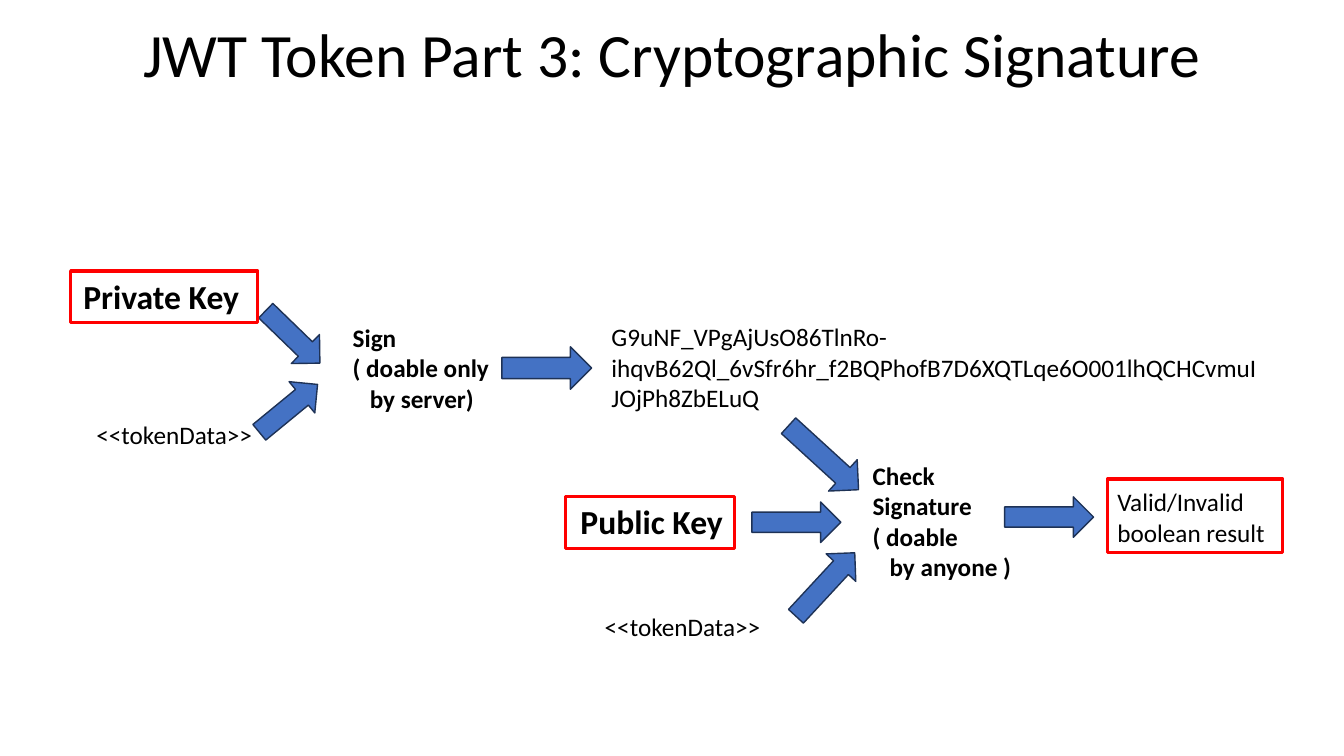
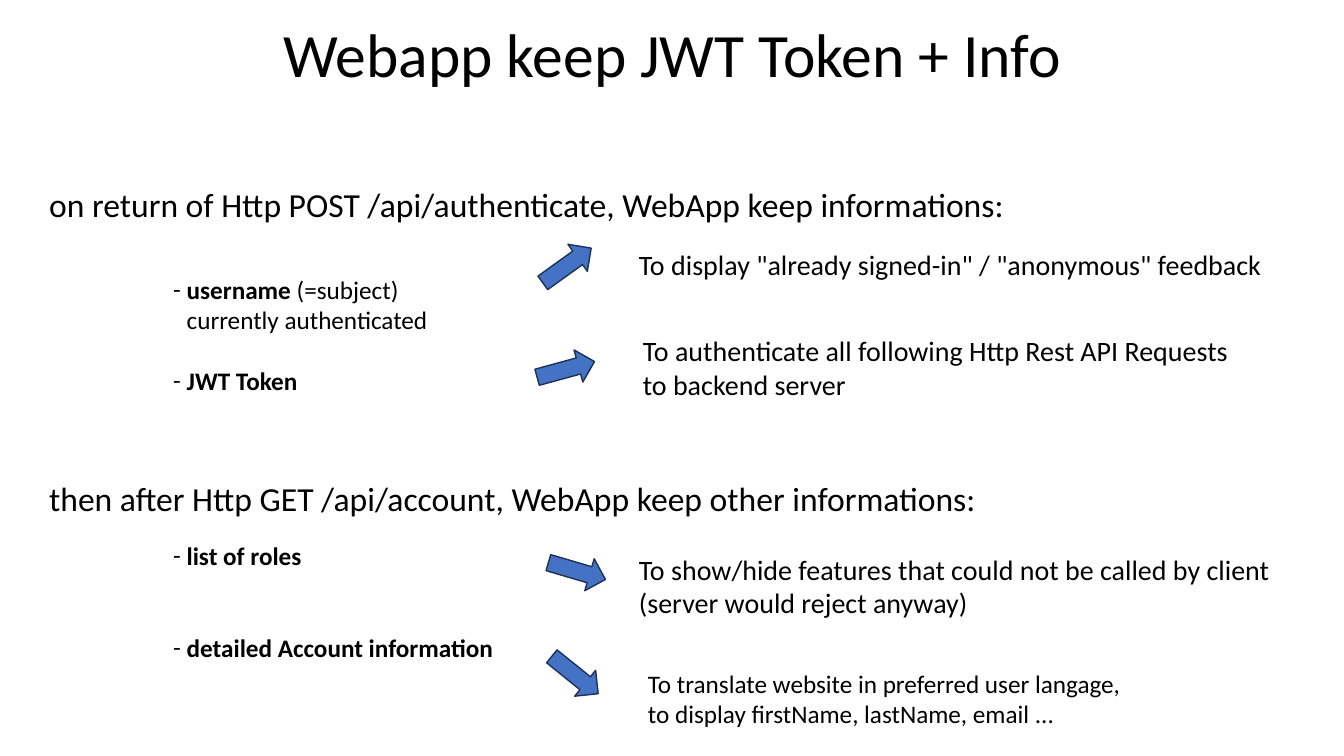
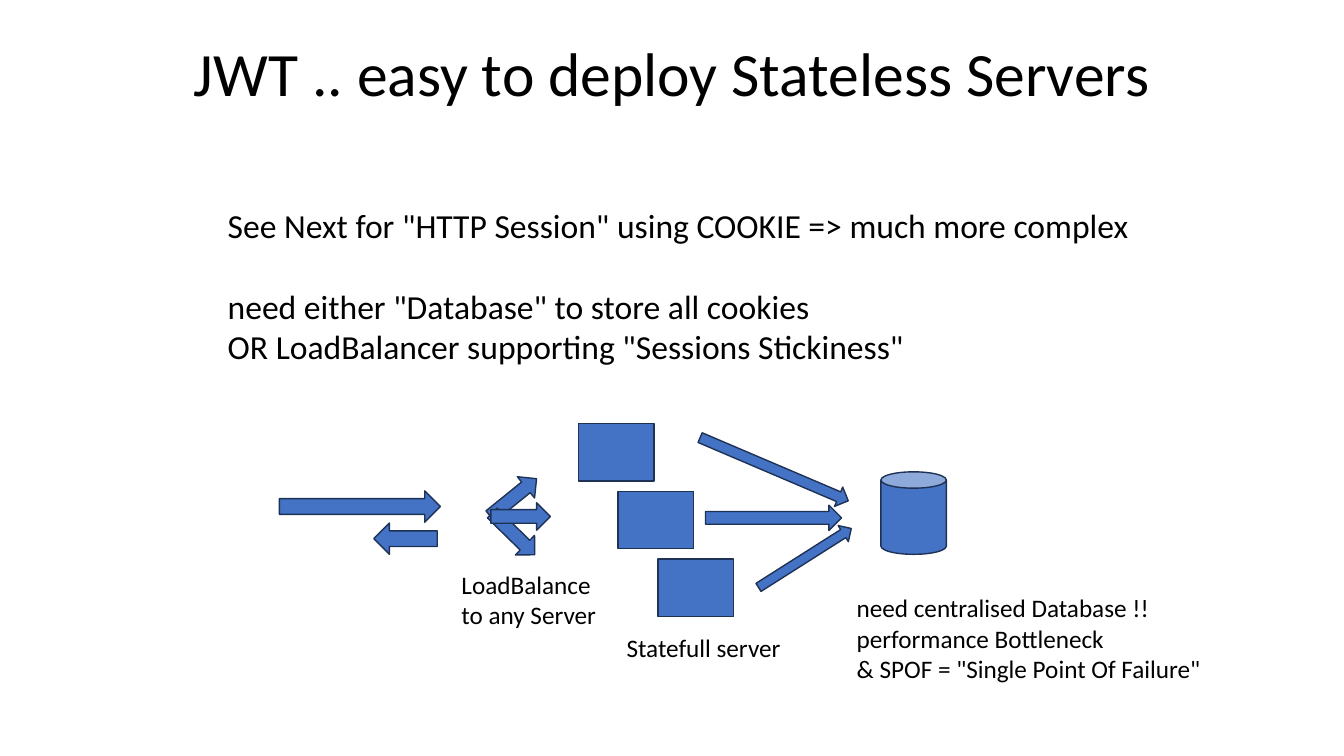
from dataclasses import dataclass

from lxml.etree import SubElement
from pptx import Presentation
from pptx.dml.color import RGBColor
from pptx.enum.shapes import MSO_SHAPE
from pptx.enum.text import MSO_ANCHOR, MSO_AUTO_SIZE, PP_ALIGN
from pptx.oxml.ns import qn
from pptx.util import Cm, Pt


@dataclass(frozen=True)
class Theme:
    font: str = "Calibri"
    ink: RGBColor = RGBColor(0x00, 0x00, 0x00)
    blue: RGBColor = RGBColor(0x44, 0x72, 0xC4)
    navy: RGBColor = RGBColor(0x1E, 0x32, 0x56)
    red: RGBColor = RGBColor(0xFF, 0x00, 0x00)
    title: Pt = Pt(44)
    heading: Pt = Pt(24)
    purpose: Pt = Pt(20)
    body: Pt = Pt(18)
    thin: Pt = Pt(1)
    frame: Pt = Pt(2.25)


theme = Theme()


def add_label(slide, text, box, size=theme.body, bold=False, wrap=False):
    label = slide.shapes.add_textbox(*map(Cm, box))
    label.text_frame.text = text
    label.text_frame.word_wrap = wrap
    label.text_frame.auto_size = MSO_AUTO_SIZE.SHAPE_TO_FIT_TEXT
    for paragraph in label.text_frame.paragraphs:
        for run in paragraph.runs:
            run.font.name = theme.font
            run.font.size = size
            run.font.bold = bold
            run.font.color.rgb = theme.ink
    return label


def add_block(slide, box, kind=MSO_SHAPE.RIGHT_ARROW, rotation=0):
    block = slide.shapes.add_shape(kind, *map(Cm, box))
    block.rotation = rotation
    block.shadow.inherit = False
    block.fill.solid()
    block.fill.fore_color.rgb = theme.blue
    block.line.color.rgb = theme.navy
    block.line.width = theme.thin
    return block


presentation = Presentation()
presentation.slide_width = Cm(33.87)
presentation.slide_height = Cm(19.05)

slides = []
for heading, layout_name, title_box in [
    ("JWT Token Part 3: Cryptographic Signature", "Title Only", (2.34, 0, 29.21, 2.92)),
    ("Webapp keep JWT Token + Info", "Two Content", (2.34, 0, 29.21, 2.92)),
    ("JWT .. easy to deploy Stateless Servers", "Title Only", (2.34, 0.08, 29.21, 3.68)),
]:
    slide = presentation.slides.add_slide(presentation.slide_layouts.get_by_name(layout_name))
    title = slide.shapes.title
    title.left, title.top, title.width, title.height = map(Cm, title_box)
    title.text_frame.text = heading
    title.text_frame.vertical_anchor = MSO_ANCHOR.MIDDLE
    paragraph = title.text_frame.paragraphs[0]
    paragraph.alignment = PP_ALIGN.CENTER
    paragraph.line_spacing = 0.9
    paragraph.runs[0].font.name = theme.font
    paragraph.runs[0].font.size = theme.title
    paragraph.runs[0].font.color.rgb = theme.ink
    slides.append(slide)
signature_slide, webapp_slide, stateless_slide = slides

add_label(
    signature_slide,
    "G9uNF_VPgAjUsO86TlnRo-ihqvB62Ql_6vSfr6hr_f2BQPhofB7D6XQTLqe6O001lhQCHCvmuIJOjPh8ZbELuQ",
    (15.16, 7.98, 16.94, 2.57),
    wrap=True,
)
for text, box in [
    ("Sign\n( doable only\nby server)", (8.64, 8, 4.11, 2.57)),
    ("Check\nSignature\n( doable\nby anyone )", (21.74, 11.48, 4.04, 3.33)),
]:
    step = add_label(signature_slide, text, box, bold=True)
    step.text_frame.paragraphs[-1]._p.get_or_add_pPr().set("marL", str(Cm(0.43)))
for left, top in [(2.18, 10.44), (14.99, 15.29)]:
    add_label(signature_slide, "<<tokenData>>", (left, top, 4.47, 1.02))
add_label(signature_slide, "Private Key", (1.85, 6.83, 4.47, 1.27), theme.heading, bold=True)
add_label(signature_slide, "Public Key", (14.38, 12.5, 4.14, 1.27), theme.heading, bold=True)
add_label(signature_slide, "Valid/Invalid\nboolean result", (27.91, 12.14, 4.27, 1.8))

for box, rotation in [
    ((12.65, 8.74, 2.26, 1.07), 0),
    ((19.56, 11, 2.39, 1.07), 42.4),
    ((6.43, 7.98, 1.9, 1.02), 44.1),
    ((6.32, 9.78, 1.9, 1.02), 320.6),
    ((18.95, 12.65, 2.24, 1.02), 0),
    ((19.71, 14.22, 2.18, 1.02), 312.8),
    ((25.32, 12.52, 2.24, 1.02), 0),
]:
    add_block(signature_slide, box, rotation=rotation)

for box in [
    (1.78, 6.83, 4.72, 1.3),
    (14.25, 12.52, 4.27, 1.3),
    (27.91, 12.07, 4.42, 1.85),
]:
    frame = add_block(signature_slide, box, MSO_SHAPE.RECTANGLE)
    frame.fill.background()
    frame.line.color.rgb = theme.red
    frame.line.width = theme.frame

for text, box in [
    ("on return of Http POST /api/authenticate, WebApp keep informations:", (0.99, 4.5, 25.45, 1.27)),
    ("then after Http GET /api/account, WebApp keep other informations:", (0.99, 11.91, 24.13, 1.27)),
]:
    add_label(webapp_slide, text, box, theme.heading)

for placeholder_index, box, gap, items in [
    (1, (4.11, 6.79, 8.79, 4.1), Pt(22), [
        ("username", [" (=subject)", "currently authenticated"]),
        ("JWT Token", []),
    ]),
    (2, (4.11, 13.5, 16.94, 3.34), Pt(44), [
        ("list of roles", []),
        ("detailed Account information", []),
    ]),
]:
    body = webapp_slide.placeholders[placeholder_index]
    body.left, body.top, body.width, body.height = map(Cm, box)
    frame = body.text_frame
    frame.auto_size = MSO_AUTO_SIZE.NONE
    frame.vertical_anchor = MSO_ANCHOR.TOP
    for item_index, (name, detail_lines) in enumerate(items):
        paragraph = frame.add_paragraph() if item_index else frame.paragraphs[0]
        properties = paragraph._p.get_or_add_pPr()
        properties.set("marL", str(Cm(0.34)))
        properties.set("indent", str(-Cm(0.34)))
        SubElement(properties, qn("a:buFont")).set("typeface", theme.font)
        SubElement(properties, qn("a:buChar")).set("char", "-")
        paragraph.space_before = gap if item_index else Pt(0)
        paragraph.add_run().text = name
        for line_index, line in enumerate(detail_lines):
            if line_index:
                paragraph.add_line_break()
            paragraph.add_run().text = line
        for run_index, run in enumerate(paragraph.runs):
            run.font.name = theme.font
            run.font.size = theme.body
            run.font.bold = run_index == 0
            run.font.color.rgb = theme.ink

for left, top, rotation in [
    (13.54, 6.27, 324.3),
    (13.51, 8.89, 344.7),
    (13.79, 13.97, 16.4),
    (13.74, 16.59, 38.9),
]:
    add_block(webapp_slide, (left, top, 1.5, 0.84), rotation=rotation)

for text, box, size in [
    ('To display "already signed-in" / "anonymous" feedback',
     (15.85, 6.12, 16.33, 1.12), theme.purpose),
    ("To authenticate all following Http Rest API Requests\nto backend server",
     (15.95, 8.28, 15.6, 1.96), theme.purpose),
    ("To show/hide features that could not be called by client\n(server would reject anyway)",
     (15.85, 13.79, 16.56, 1.96), theme.purpose),
    ("To translate website in preferred user langage,\nto display firstName, lastName, email ...",
     (16.08, 16.71, 12.7, 1.8), theme.body),
]:
    add_label(webapp_slide, text, box, size)

comparison = add_label(
    stateless_slide,
    'See Next for "HTTP Session" using COOKIE => much more complex\n'
    'need either "Database" to store all cookies\n'
    'OR LoadBalancer supporting "Sessions Stickiness"',
    (5.49, 5.03, 23.62, 4.37),
    theme.heading,
)
comparison.text_frame.paragraphs[1].space_before = Pt(29)

for server_index in range(3):
    server_box = (14.58 + server_index, 10.67 + 1.71 * server_index, 1.9, 1.45)
    add_block(stateless_slide, server_box, MSO_SHAPE.RECTANGLE)

add_block(stateless_slide, (9.42, 13.18, 1.6, 0.79), MSO_SHAPE.LEFT_ARROW)
for box, rotation in [
    ((7.04, 12.37, 4.06, 0.79), 0),
    ((12.19, 12.19, 1.5, 0.69), 321),
    ((12.19, 13.11, 1.5, 0.69), 44.4),
    ((12.37, 12.67, 1.5, 0.69), 0),
    ((17.48, 11.56, 4.06, 0.53), 23.1),
    ((17.78, 12.73, 3.43, 0.64), 0),
    ((18.9, 13.82, 2.77, 0.48), 327.6),
]:
    add_block(stateless_slide, box, rotation=rotation)
add_block(stateless_slide, (22.2, 11.89, 1.65, 2.08), MSO_SHAPE.CAN)

for text, box in [
    ("LoadBalance\nto any Server", (11.38, 14.22, 3.94, 1.8)),
    ('need centralised Database !!\nperformance Bottleneck\n& SPOF = "Single Point Of Failure"',
     (21.34, 14.81, 9.27, 2.57)),
    ("Statefull server", (15.54, 15.8, 4.45, 1.02)),
]:
    add_label(stateless_slide, text, box)

presentation.save("out.pptx")
